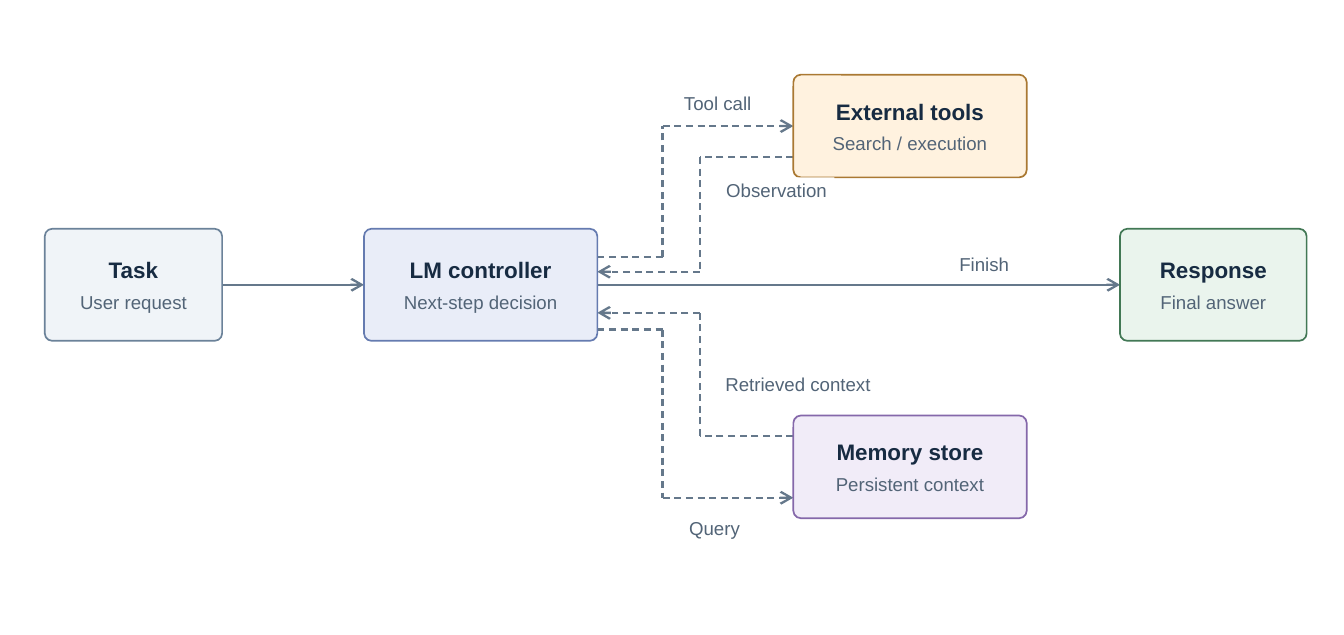
from itertools import pairwise

from lxml.etree import SubElement
from pptx import Presentation
from pptx.dml.color import RGBColor
from pptx.enum.shapes import MSO_CONNECTOR, MSO_SHAPE
from pptx.enum.text import MSO_ANCHOR, PP_ALIGN
from pptx.oxml.ns import qn
from pptx.util import Inches, Pt

UNITS_PER_INCH = 96
SLIDE_SIZE = (1440, 680)

FONT = "Arial"
INK = "172B42"
MUTED = "526477"
ARROW = "65788B"
WHITE = "FFFFFF"
CORNER = 8
CARD_INSET = 14

CONTROLLER_RIGHT = 640
STORE_LEFT = 850
MAIN_ROW = 305
OUTER_LANE = 710
INNER_LANE = 750
LABEL_HEIGHT = 26

CARDS = [
    ((48, 245, 190, 120), "Task", "User request", "F0F4F8", "6B8299"),
    ((390, 245, 250, 120), "LM controller", "Next-step decision", "E9EDF8", "657BB0"),
    ((850, 80, 250, 110), "External tools", "Search / execution", "FFF2DF", "AA7933"),
    ((850, 445, 250, 110), "Memory store", "Persistent context", "F1ECF8", "8568AA"),
    ((1200, 245, 200, 120), "Response", "Final answer", "EAF4ED", "427855"),
]

TASK_ROUTE = (238, 390)
FINISH_ROUTE = (CONTROLLER_RIGHT, 1200)

BENT_ROUTES = [
    (CONTROLLER_RIGHT, 275, OUTER_LANE, STORE_LEFT, 135),
    (STORE_LEFT, 168, INNER_LANE, CONTROLLER_RIGHT, 291),
    (CONTROLLER_RIGHT, 353, OUTER_LANE, STORE_LEFT, 533),
    (STORE_LEFT, 467, INNER_LANE, CONTROLLER_RIGHT, 335),
]

LABELS = [
    (725, 97, 88, "Tool call"),
    (770, 190, 124, "Observation"),
    (730, 552, 71, "Query"),
    (770, 398, 170, "Retrieved context"),
    (1020, 270, 69, "Finish"),
]


def color(value):
    return RGBColor.from_string(value)


def lengths(values):
    return [Inches(value / UNITS_PER_INCH) for value in values]


def write_line(shape, text, size, text_color, bold=False):
    frame = shape.text_frame
    frame.word_wrap = False
    frame.vertical_anchor = MSO_ANCHOR.MIDDLE
    frame.margin_left = frame.margin_right = 0
    frame.margin_top = frame.margin_bottom = 0
    paragraph = frame.paragraphs[0]
    paragraph.alignment = PP_ALIGN.CENTER
    run = paragraph.add_run()
    run.text = text
    run.font.name = FONT
    run.font.size = Pt(size)
    run.font.bold = bold
    run.font.color.rgb = color(text_color)


def add_card(slide, box, title, subtitle, fill, border):
    left, top, width, height = box
    card = slide.shapes.add_shape(MSO_SHAPE.ROUNDED_RECTANGLE, *lengths(box))
    card.adjustments[0] = CORNER / height
    card.shadow.inherit = False
    card.fill.solid()
    card.fill.fore_color.rgb = color(fill)
    card.line.color.rgb = color(border)
    card.line.width = Pt(1.35)

    middle = top + height / 2
    text_left, text_width = left + CARD_INSET, width - 2 * CARD_INSET
    title_box = (text_left, middle - 30, text_width, 28)
    subtitle_box = (text_left, middle + 6, text_width, 24)
    write_line(slide.shapes.add_textbox(*lengths(title_box)), title, 18, INK, True)
    write_line(slide.shapes.add_textbox(*lengths(subtitle_box)), subtitle, 15, MUTED)


def add_label(slide, left, top, width, text):
    box = (left, top, width, LABEL_HEIGHT)
    label = slide.shapes.add_shape(MSO_SHAPE.RECTANGLE, *lengths(box))
    label.shadow.inherit = False
    label.fill.solid()
    label.fill.fore_color.rgb = color(WHITE)
    label.line.fill.background()
    write_line(label, text, 15, MUTED)


def add_segment(shapes, start, end, dashed, arrow):
    connector = shapes.add_connector(MSO_CONNECTOR.STRAIGHT, *lengths(start + end))
    connector.line.color.rgb = color(ARROW)
    connector.line.width = Pt(1.88)
    properties = connector.line._get_or_add_ln()
    if dashed:
        dashes = SubElement(properties, qn("a:custDash"))
        SubElement(dashes, qn("a:ds"), d="300000", sp="200000")
    if arrow:
        SubElement(properties, qn("a:tailEnd"), type="arrow", w="lg", len="lg")
    SubElement(connector._element.spPr, qn("a:effectLst"))


def add_route(slide, points, dashed=False):
    group = slide.shapes.add_group_shape()
    for start, end in pairwise(points):
        add_segment(group.shapes, start, end, dashed, end == points[-1])


def add_straight_route(slide, start, end):
    add_route(slide, [(start, MAIN_ROW), (end, MAIN_ROW)])


def add_bent_route(slide, start_x, start_y, lane, end_x, end_y):
    points = [(start_x, start_y), (lane, start_y), (lane, end_y), (end_x, end_y)]
    add_route(slide, points, dashed=True)


def main():
    presentation = Presentation()
    presentation.slide_width, presentation.slide_height = lengths(SLIDE_SIZE)
    slide = presentation.slides.add_slide(presentation.slide_layouts[6])
    slide.background.fill.solid()
    slide.background.fill.fore_color.rgb = color(WHITE)

    add_straight_route(slide, *TASK_ROUTE)
    for route in BENT_ROUTES:
        add_bent_route(slide, *route)
    add_straight_route(slide, *FINISH_ROUTE)
    for card in CARDS:
        add_card(slide, *card)
    for label in LABELS:
        add_label(slide, *label)
    presentation.save("out.pptx")


if __name__ == "__main__":
    main()
